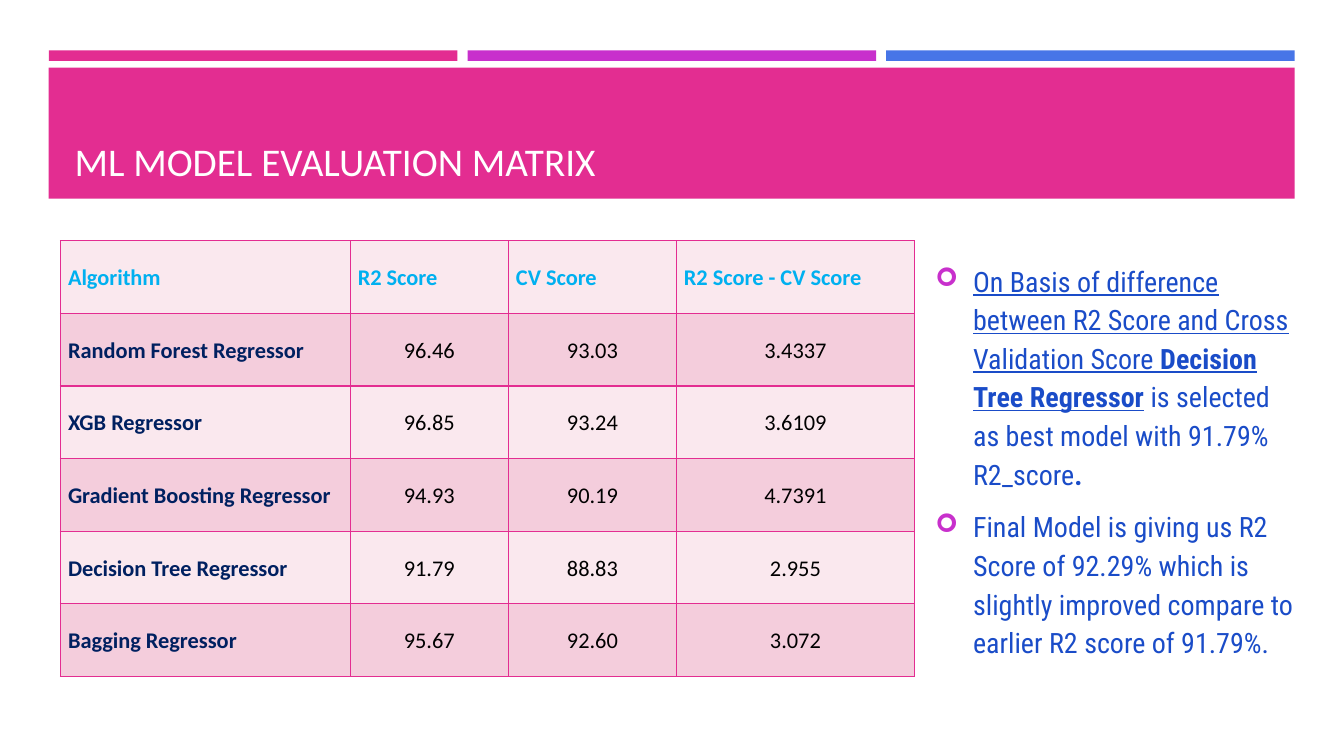
from dataclasses import dataclass

from lxml import etree
from pptx import Presentation
from pptx.dml.color import RGBColor
from pptx.enum.shapes import MSO_SHAPE
from pptx.enum.text import MSO_ANCHOR, PP_ALIGN
from pptx.oxml.ns import qn
from pptx.util import Pt

RECTANGLE = MSO_SHAPE.RECTANGLE
MIDDLE, BOTTOM = MSO_ANCHOR.MIDDLE, MSO_ANCHOR.BOTTOM
LEFT, CENTER, JUSTIFY = PP_ALIGN.LEFT, PP_ALIGN.CENTER, PP_ALIGN.JUSTIFY

TITLE = "ML MODEL EVALUATION MATRIX"
SCORES = [
    ("Algorithm", "R2 Score", "CV Score", "R2 Score - CV Score"),
    ("Random Forest Regressor", "96.46", "93.03", "3.4337"),
    ("XGB Regressor", "96.85", "93.24", "3.6109"),
    ("Gradient Boosting Regressor", "94.93", "90.19", "4.7391"),
    ("Decision Tree Regressor", "91.79", "88.83", "2.955"),
    ("Bagging Regressor", "95.67", "92.60", "3.072"),
]
# Each finding: space after, then runs of (text, bold, underlined)
FINDINGS = [
    (6, [
        ("On Basis of difference between R2 Score and Cross Validation Score ", False, True),
        ("Decision Tree Regressor", True, True),
        (" is selected as best model with 91.79% R2_score", False, False),
        (".", True, False),
    ]),
    (8, [
        ("Final Model is giving us R2 Score of 92.29% which is slightly improved "
         "compare to earlier R2 score of 91.79%.", False, False),
    ]),
]


@dataclass(frozen=True)
class Theme:
    pink: str = "E32D91"
    purple: str = "C830CC"
    blue: str = "4775E7"
    white: str = "FFFFFF"
    header_text: str = "00B0F0"
    name_text: str = "002060"
    value_text: str = "000000"
    finding_text: str = "1A4CC8"
    light_row: str = "FAE8EE"
    dark_row: str = "F4CDDC"
    main_font: str = "Calibri"
    finding_font: str = "Roboto Condensed"
    title_size: int = 28
    finding_size: int = 20
    table_size: int = 16


THEME = Theme()

SLIDE_SIZE = (960, 540)
STRIPE_LEFT, STRIPE_TOP, STRIPE_WIDTH, STRIPE_HEIGHT, STRIPE_GAP = 35, 36, 291.8, 7.5, 7.2
BANNER = (34.8, 48.4, 890, 93.6)
TITLE_BOX = (46.2, 55.4, 868, 79.9)
FINDINGS_BOX = (661, 171.4, 272, 313.2)
FINDING_INDENT = 27
TABLE_LEFT, TABLE_TOP, ROW_HEIGHT = 43.2, 172, 51.85
COLUMN_WIDTHS = (207, 113, 120, 170)
CELL_INSET = 5.4


def points(values):
    return [Pt(value) for value in values]


def add_bar(slide, box, color):
    bar = slide.shapes.add_shape(RECTANGLE, *points(box))
    bar.shadow.inherit = False
    bar.fill.solid()
    bar.fill.fore_color.rgb = RGBColor.from_string(color)
    bar.line.fill.background()


def add_text_frame(slide, box, anchor):
    text_frame = slide.shapes.add_textbox(*points(box)).text_frame
    text_frame.word_wrap = True
    text_frame.vertical_anchor = anchor
    return text_frame


def style_run(run, font_name, size, color, bold=False, underline=False):
    font = run.font
    font.name, font.size = font_name, Pt(size)
    font.bold, font.underline = bold, underline
    font.color.rgb = RGBColor.from_string(color)


def add_bullet(paragraph):
    properties = paragraph._p.get_or_add_pPr()
    properties.set("marL", str(Pt(FINDING_INDENT)))
    properties.set("indent", str(-Pt(FINDING_INDENT)))
    bullet_color = etree.SubElement(properties, qn("a:buClr"))
    etree.SubElement(bullet_color, qn("a:srgbClr"), val=THEME.purple)
    etree.SubElement(properties, qn("a:buSzPct"), val="92000")
    etree.SubElement(properties, qn("a:buFont"), typeface="Wingdings")
    etree.SubElement(properties, qn("a:buChar"), char="➢")


def add_borders(cell):
    properties = cell._tc.get_or_add_tcPr()
    for side in ("a:lnL", "a:lnR", "a:lnT", "a:lnB"):
        line = etree.SubElement(properties, qn(side), w=str(Pt(1)))
        fill = etree.SubElement(line, qn("a:solidFill"))
        etree.SubElement(fill, qn("a:srgbClr"), val=THEME.pink)


def fill_cell(cell, text, row, column):
    if row == 0:
        color, alignment = THEME.header_text, JUSTIFY
    elif column == 0:
        color, alignment = THEME.name_text, LEFT
    else:
        color, alignment = THEME.value_text, CENTER
    add_borders(cell)
    cell.fill.solid()
    cell.fill.fore_color.rgb = RGBColor.from_string(
        THEME.dark_row if row % 2 else THEME.light_row)
    cell.vertical_anchor = MIDDLE
    cell.margin_left = cell.margin_right = Pt(CELL_INSET)
    cell.margin_top = cell.margin_bottom = 0
    cell.text_frame.text = text
    paragraph = cell.text_frame.paragraphs[0]
    paragraph.alignment = alignment
    paragraph.line_spacing = 1.07
    paragraph.space_after = Pt(8)
    style_run(paragraph.runs[0], THEME.main_font, THEME.table_size, color,
              bold=row == 0 or column == 0)


def add_header(slide):
    for index, color in enumerate((THEME.pink, THEME.purple, THEME.blue)):
        left = STRIPE_LEFT + index * (STRIPE_WIDTH + STRIPE_GAP)
        add_bar(slide, (left, STRIPE_TOP, STRIPE_WIDTH, STRIPE_HEIGHT), color)
    add_bar(slide, BANNER, THEME.pink)
    text_frame = add_text_frame(slide, TITLE_BOX, BOTTOM)
    text_frame.text = TITLE
    style_run(text_frame.paragraphs[0].runs[0], THEME.main_font,
              THEME.title_size, THEME.white)


def add_findings(slide):
    text_frame = add_text_frame(slide, FINDINGS_BOX, MIDDLE)
    for index, (space_after, runs) in enumerate(FINDINGS):
        paragraph = text_frame.add_paragraph() if index else text_frame.paragraphs[0]
        paragraph.line_spacing = 1.15
        paragraph.space_before = Pt(THEME.finding_size * 0.2)
        paragraph.space_after = Pt(space_after)
        add_bullet(paragraph)
        for text, bold, underline in runs:
            run = paragraph.add_run()
            run.text = text
            style_run(run, THEME.finding_font, THEME.finding_size,
                      THEME.finding_text, bold, underline)


def add_score_table(slide):
    box = (TABLE_LEFT, TABLE_TOP, sum(COLUMN_WIDTHS), ROW_HEIGHT * len(SCORES))
    table = slide.shapes.add_table(len(SCORES), len(COLUMN_WIDTHS), *points(box)).table
    for column, width in zip(table.columns, COLUMN_WIDTHS):
        column.width = Pt(width)
    for row, texts in enumerate(SCORES):
        table.rows[row].height = Pt(ROW_HEIGHT)
        for column, text in enumerate(texts):
            fill_cell(table.cell(row, column), text, row, column)


def main():
    presentation = Presentation()
    presentation.slide_width, presentation.slide_height = points(SLIDE_SIZE)
    slide = presentation.slides.add_slide(presentation.slide_layouts[6])
    add_header(slide)
    add_findings(slide)
    add_score_table(slide)
    presentation.save("out.pptx")


if __name__ == "__main__":
    main()
